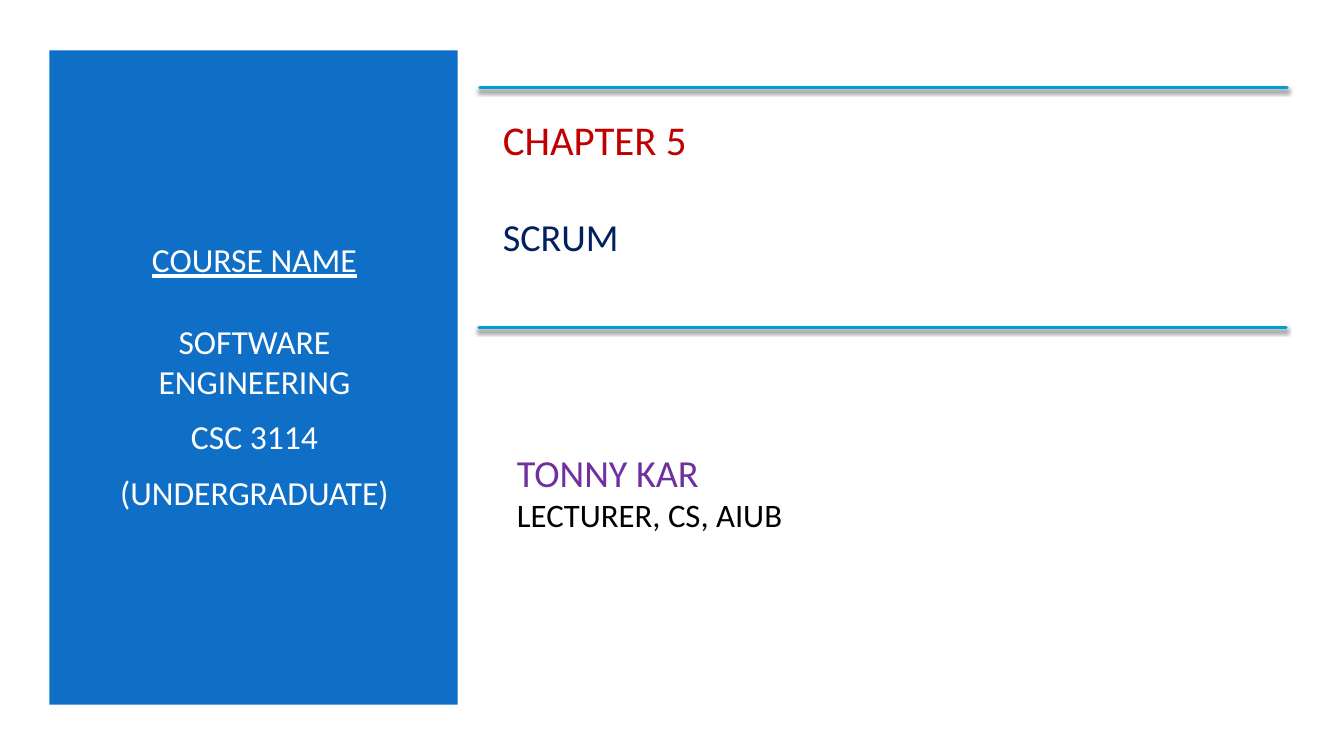
from dataclasses import dataclass

from lxml import etree
from pptx import Presentation, util as u
from pptx.dml.color import RGBColor
from pptx.enum import shapes, text
from pptx.oxml.ns import qn


@dataclass(frozen=True)
class Theme:
    font: str = "Calibri"
    paper: str = "FFFFFF"
    panel: str = "0F6FC6"
    rule: str = "009DD9"
    shadow: str = "000000"
    chapter: str = "C00000"
    topic: str = "002060"
    lecturer: str = "7030A0"
    post: str = "000000"
    course_size: float = 24
    chapter_size: float = 29.2
    name_size: float = 27.3
    post_size: float = 23.4


class CoverSlide:
    def __init__(self, deck, theme):
        self.theme = theme
        self.slide = deck.slides.add_slide(deck.slide_layouts[6])
        self.paint(self.slide.background.fill, theme.paper)

    def paint(self, fill, color):
        fill.solid()
        fill.fore_color.rgb = RGBColor.from_string(color)

    def panel(self, *box):
        panel = self.slide.shapes.add_shape(shapes.MSO_SHAPE.RECTANGLE, *map(u.Pt, box))
        panel.shadow.inherit = False
        self.paint(panel.fill, self.theme.panel)
        panel.line.fill.background()

    def rule(self, left, top, width):
        ends = map(u.Pt, (left, top, left + width, top))
        rule = self.slide.shapes.add_connector(shapes.MSO_CONNECTOR.STRAIGHT, *ends)
        rule.line.width = u.Pt(2)
        self.paint(rule.line.fill, self.theme.rule)
        properties = rule._element.spPr
        properties.find(qn("a:ln")).set("cap", "rnd")
        effects = etree.SubElement(properties, qn("a:effectLst"))
        shadow = etree.SubElement(
            effects, qn("a:outerShdw"), blurRad=str(u.Pt(3)), dist=str(u.Pt(2)),
            dir="5400000", algn="ctr", rotWithShape="0")
        color = etree.SubElement(shadow, qn("a:srgbClr"), val=self.theme.shadow)
        etree.SubElement(color, qn("a:alpha"), val="55000")

    def text(self, box, lines, align=text.PP_ALIGN.LEFT):
        frame = self.slide.shapes.add_textbox(*map(u.Pt, box)).text_frame
        frame.word_wrap = True
        frame.vertical_anchor = text.MSO_ANCHOR.MIDDLE
        for index, (words, size, color, gap, underline) in enumerate(lines):
            paragraph = frame.paragraphs[0] if index == 0 else frame.add_paragraph()
            paragraph.alignment = align
            paragraph.space_after = u.Pt(gap)
            run = paragraph.add_run()
            run.text = words
            look = {"name": self.theme.font, "size": u.Pt(size), "underline": underline}
            for key, value in look.items():
                setattr(run.font, key, value)
            run.font.color.rgb = RGBColor.from_string(color)


def main():
    deck = Presentation()
    deck.slide_width, deck.slide_height = u.Pt(960), u.Pt(540)
    theme = Theme()
    cover = CoverSlide(deck, theme)

    cover.panel(35.3, 36, 291.6, 467.3)
    course = [
        ("COURSE NAME", 29.3, True),
        ("SOFTWARE ENGINEERING", 10.8, False),
        ("CSC 3114", 10.8, False),
        ("(UNDERGRADUATE)", 0, False),
    ]
    cover.text(
        (60.5, 79.2, 242.6, 378),
        [(words, theme.course_size, theme.paper, gap, underline)
         for words, gap, underline in course],
        text.PP_ALIGN.CENTER)
    cover.text((352.1, 79.2, 565.2, 108.7), [
        ("CHAPTER 5", theme.chapter_size, theme.chapter, 35.6, False),
        ("SCRUM", theme.name_size, theme.topic, 0, False),
    ])
    cover.text((362.2, 295.2, 479.5, 112.3), [
        ("TONNY KAR", theme.name_size, theme.lecturer, 0, False),
        ("LECTURER, CS, AIUB", theme.post_size, theme.post, 0, False),
    ])
    for left, top in ((342.7, 62.6), (342, 234)):
        cover.rule(left, top, 576.7)
    deck.save("out.pptx")


if __name__ == "__main__":
    main()
